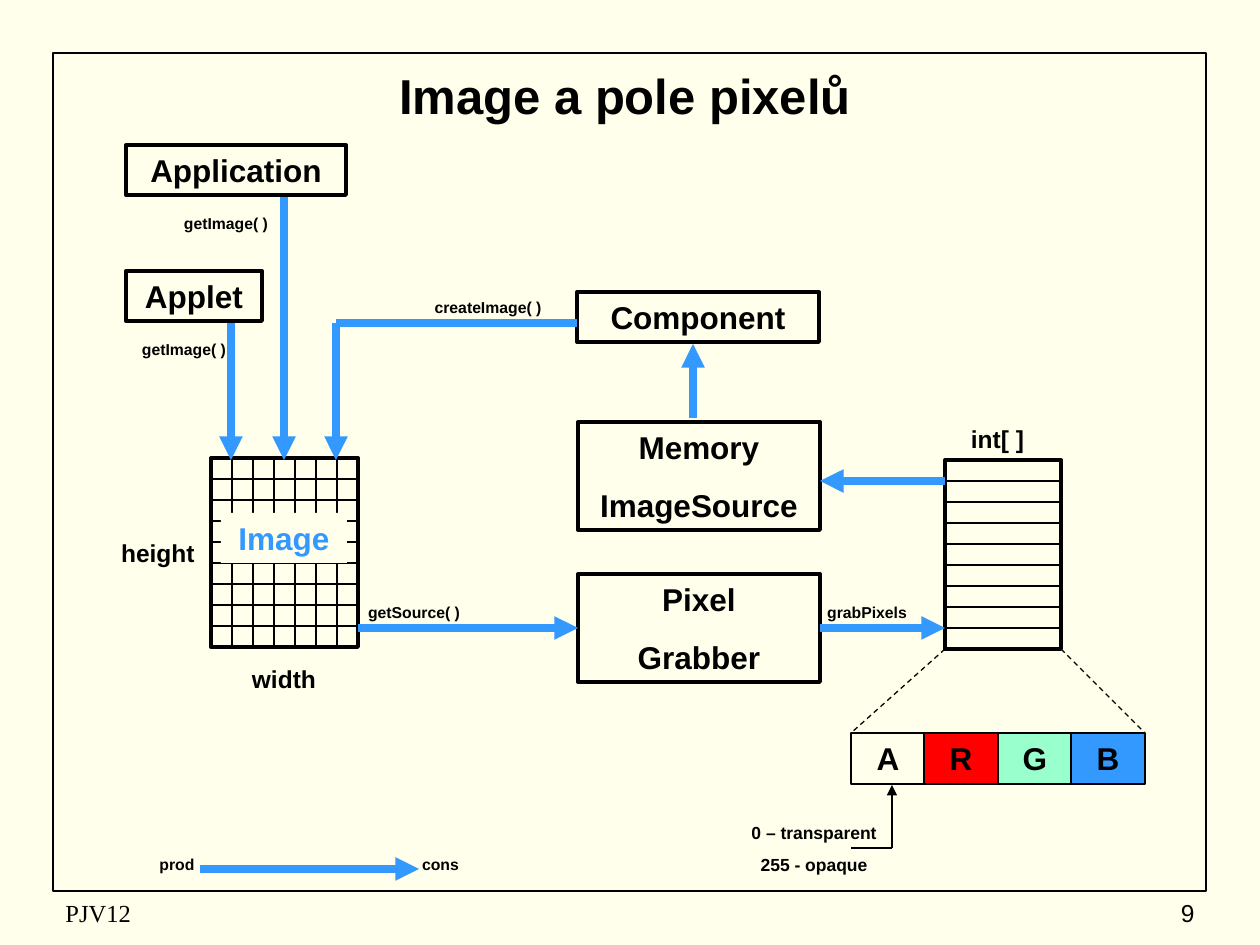
import pptx
import pptx.util
from pptx.dml.color import RGBColor
from pptx.enum.dml import MSO_LINE
from pptx.enum.shapes import MSO_CONNECTOR, MSO_SHAPE
from pptx.enum.text import MSO_ANCHOR, PP_ALIGN
from pptx.oxml.ns import qn
from lxml import etree

SCALE = 914400 / 126
CREAM = RGBColor(0xFF, 0xFF, 0xEB)
BLACK = RGBColor(0, 0, 0)
BLUE = RGBColor(0x33, 0x99, 0xFF)
RED = RGBColor(0xFF, 0, 0)
GREEN = RGBColor(0x99, 0xFF, 0xCC)
STEP = 21  # size of one pixel cell


def px(*nums):
    return [pptx.util.Emu(round(num * SCALE)) for num in nums]


def write(shape, text, size, color=BLACK, bold=True, align=PP_ALIGN.CENTER,
          anchor=MSO_ANCHOR.TOP, face="Arial"):
    """Fill a shape with text, one paragraph a line."""
    frame = shape.text_frame
    frame.text = text
    frame.word_wrap = True
    frame.vertical_anchor = anchor
    for i, para in enumerate(frame.paragraphs):
        para.alignment = align
        para.space_before = pptx.util.Pt(0.625 * size if i else 0)
        font = para.font
        font.name, font.size, font.bold = face, pptx.util.Pt(size), bold
        font.color.rgb = color


def label(slide, area, text, size, **style):
    write(slide.shapes.add_textbox(*px(*area)), text, size, **style)


def box(slide, area, text="", fill=None, width=2.25, color=BLACK):
    """Draw a rectangle; a width of 0 means no outline."""
    shape = slide.shapes.add_shape(MSO_SHAPE.RECTANGLE, *px(*area))
    shape.shadow.inherit = False
    if fill is None:
        shape.fill.background()
    else:
        shape.fill.solid()
        shape.fill.fore_color.rgb = fill
    if width:
        shape.line.color.rgb = BLACK
        shape.line.width = pptx.util.Pt(width)
    else:
        shape.line.fill.background()
    if text:
        write(shape, text, 18, color)
    return shape


def line(slide, ends, width=0.75, color=BLACK, head=False, dash=False):
    link = slide.shapes.add_connector(MSO_CONNECTOR.STRAIGHT, *px(*ends))
    link.line.color.rgb = color
    link.line.width = pptx.util.Pt(width)
    if dash:
        link.line.dash_style = MSO_LINE.DASH
    props = link._element.spPr
    if head:
        etree.SubElement(props.find(qn("a:ln")), qn("a:tailEnd"),
                         type="triangle")
    etree.SubElement(props, qn("a:effectLst"))
    return link


def flow(slide, ends, head=True):
    """Draw a thick blue line for the flow of image data."""
    return line(slide, ends, 4.5, BLUE, head)


def grid(slide, left, top, cols, rows, wide):
    """Draw a box ruled into rows and columns of pixels."""
    high = rows * STEP
    box(slide, (left, top, wide, high), fill=CREAM)
    for i in range(1, cols):
        x = left + i * STEP
        line(slide, (x, top, x, top + high), 1)
    for i in range(1, rows):
        y = top + i * STEP
        line(slide, (left, y, left + wide, y))


def frame(slide):
    """Set the background, border, title and footer."""
    back = slide.background.fill
    back.solid()
    back.fore_color.rgb = CREAM
    box(slide, (53, 53, 1153, 838), width=1)
    title = slide.shapes.title
    title.left, title.top, title.width, title.height = px(63, 53, 1124, 84)
    write(title, "Image a pole pixelů", 28, anchor=MSO_ANCHOR.MIDDLE)
    label(slide, (53, 892, 399, 42), "PJV12", 14, bold=False,
          align=PP_ALIGN.LEFT, anchor=MSO_ANCHOR.MIDDLE,
          face="Times New Roman")
    label(slide, (945, 892, 262, 42), "9", 14, bold=False,
          align=PP_ALIGN.RIGHT, anchor=MSO_ANCHOR.MIDDLE)


def argb(slide):
    """Draw the four bytes of one array item."""
    for i, (name, fill) in enumerate(
            zip("ARGB", (None, RED, GREEN, BLUE))):
        box(slide, (851 + i * 147 // 2, 733, 74, 51), name, fill, 0.75)
    line(slide, (945, 649, 851, 733), dash=True)
    line(slide, (1061, 649, 1145, 733), dash=True)
    label(slide, (725, 816, 178, 66), "0 – transparent\n255 - opaque", 10)
    line(slide, (851, 848, 892, 848))
    line(slide, (892, 848, 892, 785), head=True)


def main():
    deck = pptx.Presentation()
    deck.slide_width, deck.slide_height = px(1260, 945)
    slide = deck.slides.add_slide(deck.slide_layouts[5])
    frame(slide)

    grid(slide, 945, 460, 1, 9, 116)
    grid(slide, 211, 458, 7, 9, 7 * STEP)
    argb(slide)

    box(slide, (126, 145, 220, 50), "Application")
    box(slide, (126, 271, 136, 50), "Applet")
    box(slide, (577, 292, 242, 50), "Component")
    box(slide, (578, 422, 242, 108), "Memory\nImageSource")
    pixel = box(slide, (578, 574, 242, 108), "Pixel\nGrabber")

    for ends in ((231, 323, 231, 460), (284, 197, 284, 460),
                 (336, 323, 336, 460), (945, 481, 820, 481),
                 (693, 418, 693, 344), (200, 869, 419, 869)):
        flow(slide, ends)
    flow(slide, (336, 323, 577, 323), head=False)
    flow(slide, (358, 628, 578, 628)).end_connect(pixel, 1)
    flow(slide, (820, 628, 945, 628)).begin_connect(pixel, 3)

    box(slide, (221, 513, 126, 50), "Image", CREAM, 0, BLUE)
    for left, top, wide, text in (
            (924, 418, 147, "int[ ]"), (95, 532, 126, "height"),
            (221, 658, 126, "width")):
        label(slide, (left, top, wide, 42), text, 14)
    for left, top, wide, text in (
            (158, 208, 136, "getImage( )"), (116, 334, 136, "getImage( )"),
            (420, 292, 136, "createImage( )"), (329, 597, 170, "getSource( )"),
            (788, 597, 158, "grabPixels"), (135, 849, 84, "prod"),
            (383, 849, 115, "cons")):
        label(slide, (left, top, wide, 32), text, 9)

    deck.save("out.pptx")


if __name__ == "__main__":
    main()
